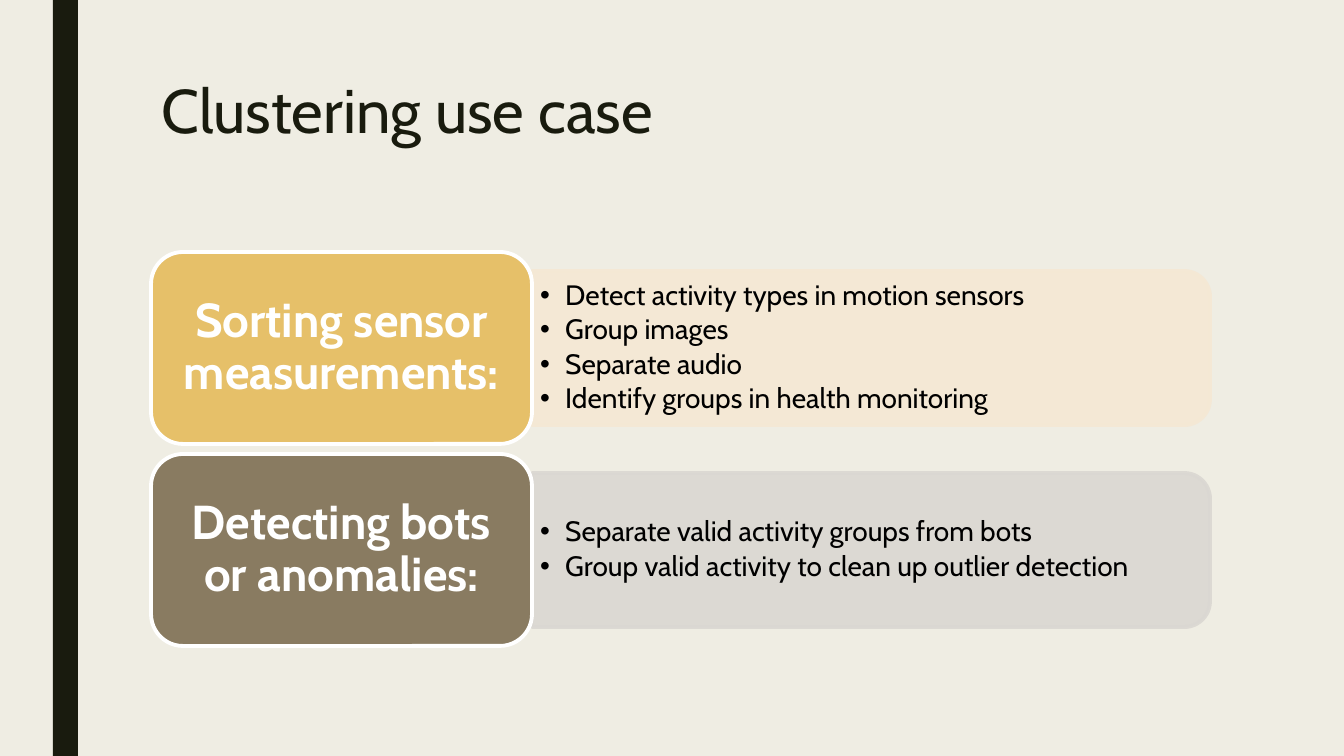
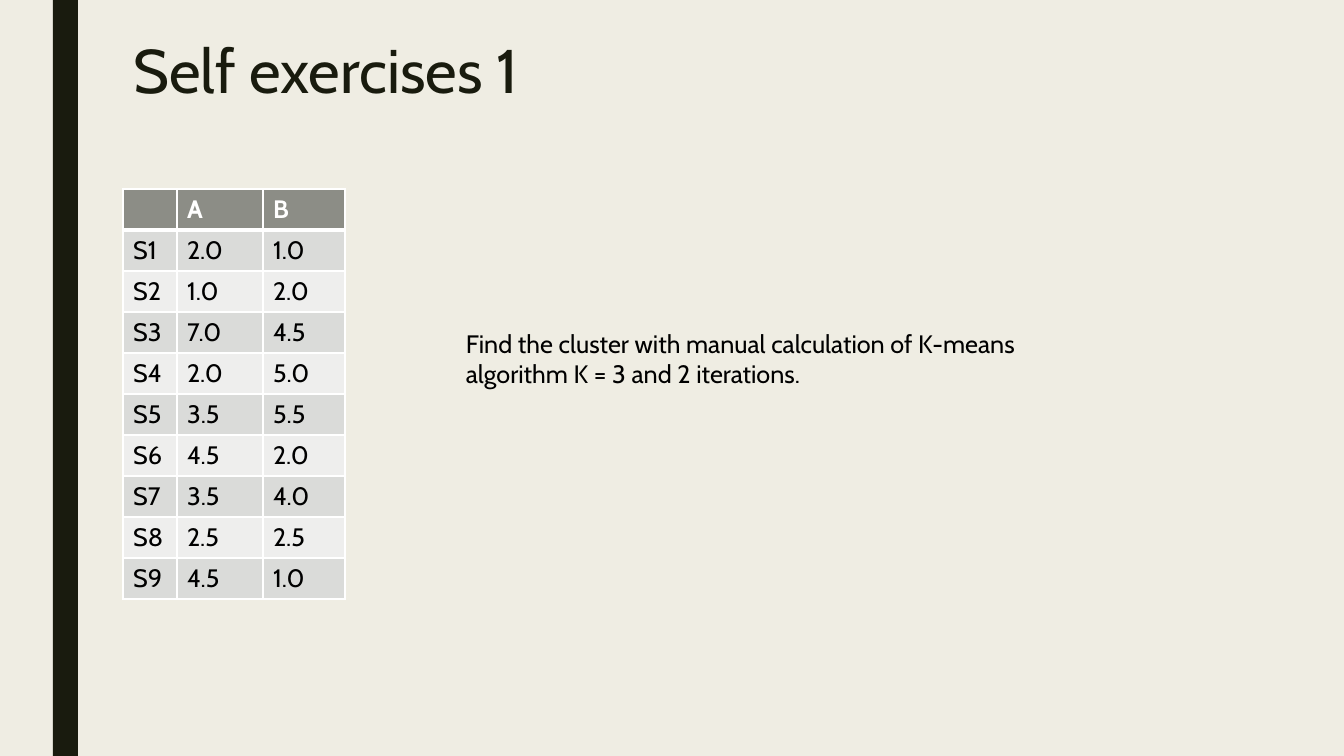
from lxml import etree
from pptx import Presentation, util as u
from pptx.dml.color import RGBColor
from pptx.enum import shapes, text
from pptx.oxml import ns

EMU_PER_PX = 914400 / 100.8
TWO_LISTS, TITLE_ONLY = 3, 5
FONT = "Cabin"
COLORS = {
    "background": "EFEDE3",
    "ink": "191B0E",
    "black": "000000",
    "white": "FFFFFF",
    "gold": "E6C069",
    "pale gold": "F5E8D4",
    "brown": "897B61",
    "pale brown": "DAD7D2",
    "header": "8C8D86",
    "odd row": "DADBD9",
    "even row": "EEEEED",
}


def px(length):
    return u.Emu(round(length * EMU_PER_PX))


def rgb(name):
    return RGBColor.from_string(COLORS[name])


class Deck:
    """Holds the shared style, the presentation and the current slide."""

    def __init__(self):
        self.presentation = Presentation()
        self.presentation.slide_width = px(1344)
        self.presentation.slide_height = px(756)
        fill = self.presentation.slide_master.background.fill
        fill.solid()
        fill.fore_color.rgb = rgb("background")
        self.slide = None

    def new_slide(self, layout, title, x, y, width, height):
        self.slide = self.presentation.slides.add_slide(
            self.presentation.slide_layouts[layout])
        self.shape(shapes.MSO_SHAPE.RECTANGLE, 53, 0, 25, 756, "ink")
        placeholder = self.slide.shapes.title
        self.place(placeholder, x, y, width, height)
        frame = placeholder.text_frame
        frame.text = title
        frame.auto_size = text.MSO_AUTO_SIZE.NONE
        frame.vertical_anchor = text.MSO_ANCHOR.TOP
        paragraph = frame.paragraphs[0]
        paragraph.line_spacing = 0.89
        self.style(paragraph, 44, "ink")

    def place(self, shape, x, y, width, height):
        shape.left, shape.top = px(x), px(y)
        shape.width, shape.height = px(width), px(height)

    def style(self, paragraph, size, color, bold=False,
              align=text.PP_ALIGN.LEFT):
        paragraph.alignment = align
        font = paragraph.font
        font.name, font.size, font.bold = FONT, u.Pt(size), bold
        font.color.rgb = rgb(color)

    def insets(self, frame, horizontal, vertical):
        frame.margin_left = frame.margin_right = px(horizontal)
        frame.margin_top = frame.margin_bottom = px(vertical)

    def shape(self, kind, x, y, width, height, fill, line=None):
        shape = self.slide.shapes.add_shape(
            kind, px(x), px(y), px(width), px(height))
        shape.shadow.inherit = False
        shape.fill.solid()
        shape.fill.fore_color.rgb = rgb(fill)
        if line:
            shape.line.color.rgb = rgb(line)
            shape.line.width = u.Pt(2.75)
        else:
            shape.line.fill.background()
        return shape

    def panel(self, x, y, width, height, color):
        """Draw a slightly transparent panel, rounded on its right side."""
        panel = self.shape(
            shapes.MSO_SHAPE.ROUND_2_SAME_RECTANGLE,
            x + (width - height) / 2, y + (height - width) / 2,
            height, width, color, color)
        panel.rotation = 90
        for color_element in panel.element.spPr.iter(ns.qn("a:srgbClr")):
            etree.SubElement(color_element, ns.qn("a:alpha"), val="90000")
        return panel

    def label(self, caption, x, y, width, height, color):
        box = self.shape(shapes.MSO_SHAPE.ROUNDED_RECTANGLE,
                         x, y, width, height, color, "white")
        frame = box.text_frame
        frame.text = caption
        frame.word_wrap = True
        frame.vertical_anchor = text.MSO_ANCHOR.MIDDLE
        self.insets(frame, 14, 7)
        paragraph = frame.paragraphs[0]
        paragraph.line_spacing = 0.9
        self.style(paragraph, 34, "white", True, text.PP_ALIGN.CENTER)

    def bullets(self, index, items, x, y, width, height, behind):
        """Fill a body placeholder and lift it just above the shape behind."""
        placeholder = self.slide.placeholders[index]
        self.place(placeholder, x, y, width, height)
        behind.element.addnext(placeholder.element)
        frame = placeholder.text_frame
        frame.text = "\n".join(items)
        frame.auto_size = text.MSO_AUTO_SIZE.NONE
        frame.vertical_anchor = text.MSO_ANCHOR.MIDDLE
        self.insets(frame, 8, 4)
        indent = u.Inches(0.25)
        for paragraph in frame.paragraphs:
            self.style(paragraph, 20, "black")
            paragraph.line_spacing = 0.9
            paragraph.space_before = u.Pt(0)
            paragraph.space_after = u.Pt(3)
            properties = paragraph._p.get_or_add_pPr()
            properties.set("marL", str(indent))
            properties.set("indent", str(-indent))

    def borders(self, cell, widths):
        """Give a cell white borders; widths maps L, R, T and B to points."""
        properties = cell._tc.get_or_add_tcPr()
        for side, width in widths.items():
            line = etree.SubElement(
                properties, ns.qn(f"a:ln{side}"), w=str(u.Pt(width)))
            fill = etree.SubElement(line, ns.qn("a:solidFill"))
            etree.SubElement(fill, ns.qn("a:srgbClr"), val=COLORS["white"])

    def table(self, rows, x, y, column_widths, row_height):
        table = self.slide.shapes.add_table(
            len(rows), len(column_widths), px(x), px(y),
            px(sum(column_widths)), px(row_height * len(rows))).table
        for column, width in zip(table.columns, column_widths):
            column.width = px(width)
        for row_index, values in enumerate(rows):
            is_header = row_index == 0
            fill = ("header" if is_header
                    else "odd row" if row_index % 2 else "even row")
            widths = {"L": 1, "R": 1, "T": 3 if row_index == 1 else 1,
                      "B": 3 if is_header else 1}
            for column_index, value in enumerate(values):
                cell = table.cell(row_index, column_index)
                cell.text = value
                self.style(cell.text_frame.paragraphs[0], 18,
                           "white" if is_header else "black", is_header)
                self.borders(cell, widths)
                cell.fill.solid()
                cell.fill.fore_color.rgb = rgb(fill)

    def text_box(self, content, x, y, width, height):
        frame = self.slide.shapes.add_textbox(
            px(x), px(y), px(width), px(height)).text_frame
        frame.text = content
        frame.word_wrap = True
        frame.auto_size = text.MSO_AUTO_SIZE.SHAPE_TO_FIT_TEXT
        self.style(frame.paragraphs[0], 18, "black")


def add_use_cases(deck):
    deck.new_slide(TWO_LISTS, "Clustering use case", 151, 76, 1058, 163)
    use_cases = [
        ("Sorting sensor measurements:", "gold", "pale gold",
         ["Detect activity types in motion sensors", "Group images",
          "Separate audio", "Identify groups in health monitoring"]),
        ("Detecting bots or anomalies:", "brown", "pale brown",
         ["Separate valid activity groups from bots",
          "Group valid activity to clean up outlier detection"]),
    ]
    left, top, pitch = 151, 252, 202
    label_width, label_height = 381, 192
    panel_width, panel_height = 678, 154
    panel_left = left + label_width
    for index, (caption, color, pale, items) in enumerate(use_cases):
        label_top = top + index * pitch
        panel_top = label_top + (label_height - panel_height) // 2
        panel = deck.panel(panel_left, panel_top,
                           panel_width, panel_height, pale)
        deck.bullets(index + 1, items, panel_left, panel_top,
                     panel_width, panel_height, panel)
        deck.label(caption, left, label_top, label_width, label_height, color)


def add_exercise(deck):
    deck.new_slide(TITLE_ONLY, "Self exercises 1", 123, 36, 1058, 87)
    samples = [
        ("2.0", "1.0"), ("1.0", "2.0"), ("7.0", "4.5"),
        ("2.0", "5.0"), ("3.5", "5.5"), ("4.5", "2.0"),
        ("3.5", "4.0"), ("2.5", "2.5"), ("4.5", "1.0"),
    ]
    rows = [("", "A", "B")]
    rows += [(f"S{number}", *values)
             for number, values in enumerate(samples, 1)]
    deck.table(rows, 123, 189, [54, 86, 82], 41)
    deck.text_box("Find the cluster with manual calculation of K-means "
                  "algorithm K = 3 and 2 iterations.", 456, 323, 652, 72)


def main():
    deck = Deck()
    add_use_cases(deck)
    add_exercise(deck)
    deck.presentation.save("out.pptx")


if __name__ == "__main__":
    main()
